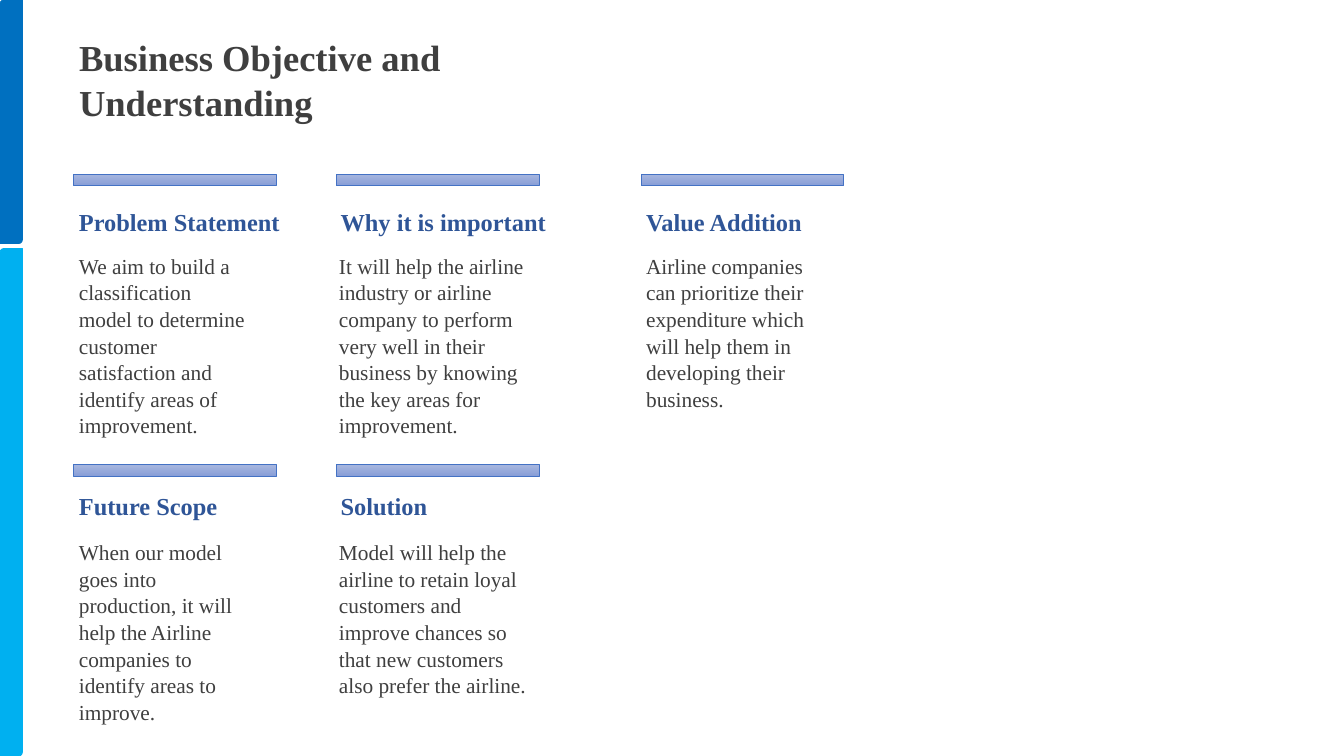
"""Build the business objective slide: a title and five cards on a grid."""
from pptx import Presentation
from pptx.dml.color import RGBColor
from pptx.enum.shapes import MSO_SHAPE as SHAPE
from pptx.enum.text import MSO_ANCHOR as ANCHOR, MSO_AUTO_SIZE as AUTO, PP_ALIGN as ALIGN
from pptx.util import Inches, Pt

WIDTH, HEIGHT = 24.5, 13.78
SERIF = "Times New Roman"
GREY = RGBColor(0x3F, 0x3F, 0x3F)
NAVY = RGBColor(0x2F, 0x55, 0x97)
DARK_BLUE = RGBColor(0x00, 0x70, 0xC0)
SKY_BLUE = RGBColor(0x00, 0xB0, 0xF0)
BAR_LINE = RGBColor(0x44, 0x72, 0xC4)
BAR_TOP = RGBColor(0xA8, 0xB7, 0xDF)
BAR_BOTTOM = RGBColor(0x88, 0x9E, 0xD7)

TITLE = "Business Objective and Understanding"
BAR_SIZE = (3.7, 0.21)
HEADING_SIZE = (4.3, 0.64)
BODY_HEIGHT = 3.4
# Left edges and top edges of the bar, heading and body in each column and row
COLUMNS = [(1.34, 1.34, 1.34), (6.13, 6.11, 6.08), (11.68, 11.68, 11.68)]
ROWS = [(3.17, 3.72, 4.54), (8.47, 8.91, 9.76)]
CARDS = [
    (0, 0, 3.24, "Problem Statement",
     "We aim to build a classification model to determine customer "
     "satisfaction and identify areas of improvement."),
    (1, 0, 3.61, "Why it is important",
     "It will help the airline industry or airline company to perform very "
     "well in their business by knowing the key areas for improvement."),
    (2, 0, 3.23, "Value Addition",
     "Airline companies can prioritize their expenditure which will help "
     "them in developing their business."),
    (0, 1, 3.07, "Future Scope",
     "When our model goes into production, it will help the Airline "
     "companies to identify areas to improve."),
    (1, 1, 3.75, "Solution",
     "Model will help the airline to retain loyal customers and improve "
     "chances so that new customers also prefer the airline."),
]


def place(sp, left, top, width, height):
    """Move and size a shape, in inches."""
    sp.left, sp.top = Inches(left), Inches(top)
    sp.width, sp.height = Inches(width), Inches(height)


def write(sp, text, size=28, color=GREY, bold=False, spacing=1.04):
    """Fill a text shape with one left-aligned paragraph."""
    tf = sp.text_frame
    tf.word_wrap = True
    tf.auto_size = AUTO.NONE
    tf.vertical_anchor = ANCHOR.TOP
    p = tf.paragraphs[0]
    p.alignment = ALIGN.LEFT
    p.line_spacing = spacing
    r = p.add_run()
    r.text = text
    r.font.name, r.font.size, r.font.bold = SERIF, Pt(size), bold
    r.font.color.rgb = color


def add_text(s, text, left, top, width, height, **style):
    """Add a text box."""
    sp = s.shapes.add_textbox(*map(Inches, (left, top, width, height)))
    write(sp, text, **style)


def add_block(s, kind, left, top, width, height, line, weight):
    """Add an outlined shape without shadow."""
    sp = s.shapes.add_shape(kind, *map(Inches, (left, top, width, height)))
    sp.shadow.inherit = False
    sp.line.color.rgb = line
    sp.line.width = Pt(weight)
    return sp


def add_strip(s, top, height, color):
    """Add a solid strip at the left edge of the slide."""
    sp = add_block(s, SHAPE.ROUND_2_DIAG_RECTANGLE, 0, top, WIDTH / 60, height, color, 1)
    sp.fill.solid()
    sp.fill.fore_color.rgb = color


def add_bar(s, left, top):
    """Add the gradient bar that opens a card."""
    sp = add_block(s, SHAPE.RECTANGLE, left, top, *BAR_SIZE, BAR_LINE, 0.5)
    sp.fill.gradient()
    sp.fill.gradient_angle = 270
    for stop, color in zip(sp.fill.gradient_stops, (BAR_TOP, BAR_BOTTOM)):
        stop.color.rgb = color


def add_card(s, column, row, width, heading, body):
    """Add a bar, a heading and a body text at a grid cell."""
    (bar_x, heading_x, body_x), (bar_y, heading_y, body_y) = COLUMNS[column], ROWS[row]
    add_bar(s, bar_x, bar_y)
    add_text(s, heading, heading_x, heading_y, *HEADING_SIZE,
             size=32, color=NAVY, bold=True, spacing=1)
    add_text(s, body, body_x, body_y, width, BODY_HEIGHT)


def main():
    """Build and save the slide."""
    prs = Presentation()
    prs.slide_width, prs.slide_height = Inches(WIDTH), Inches(HEIGHT)
    s = prs.slides.add_slide(prs.slide_layouts[5])
    add_strip(s, 0, 4.44, DARK_BLUE)
    add_strip(s, 4.53, HEIGHT - 4.53, SKY_BLUE)
    title = s.shapes.title
    place(title, COLUMNS[0][0], 0.58, 10.91, 2.4)
    write(title, TITLE, size=48, bold=True, spacing=1.02)
    for card in CARDS:
        add_card(s, *card)
    prs.save("out.pptx")


if __name__ == "__main__":
    main()
